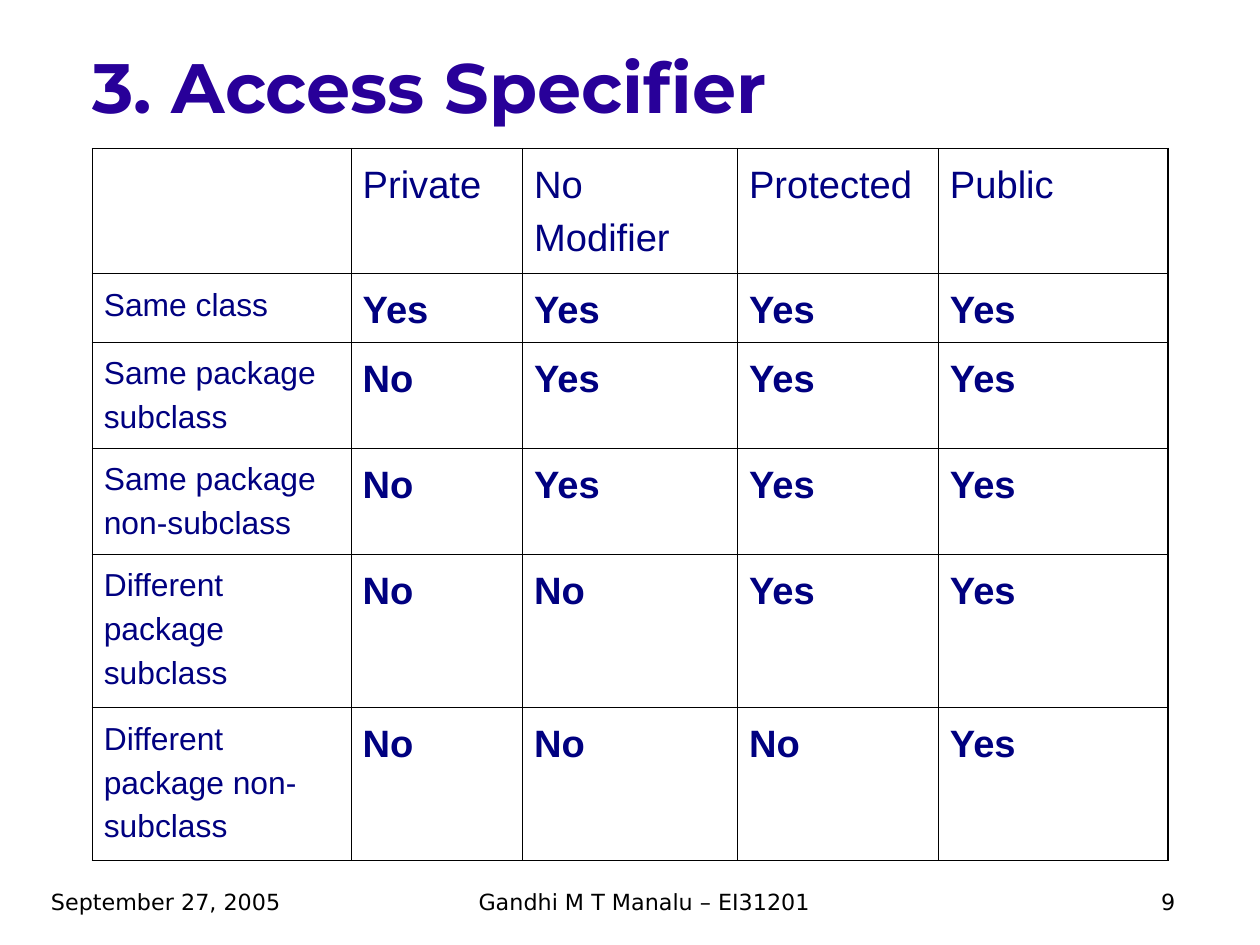
import dataclasses

import pptx
import pptx.dml.color
import pptx.enum.text
import pptx.oxml
import pptx.oxml.ns
import pptx.util

Pt = pptx.util.Pt
Align = pptx.enum.text.PP_ALIGN
Anchor = pptx.enum.text.MSO_ANCHOR
AutoSize = pptx.enum.text.MSO_AUTO_SIZE


@dataclasses.dataclass(frozen=True)
class Theme:
    title_color: str = "280099"
    table_color: str = "000080"
    footer_color: str = "000000"
    border_color: str = "000000"
    title_font: str = "Montserrat"
    table_font: str = "Arial"
    footer_font: str = "DejaVu Sans"
    title_size: float = 44
    answer_size: float = 24
    label_size: float = 20
    footer_size: float = 14
    outer_border: float = 1.08
    inner_border: float = 0.45
    line_spacing: float = 1.24


THEME = Theme()

COLUMN_WIDTHS = [163.1, 108, 135.36, 126.6, 144.5]
ROW_HEIGHTS = [78.48, 43.2, 66.8, 66.8, 96.6, 96.6]
ACCESS_ROWS = [
    ["", "Private", "No Modifier", "Protected", "Public"],
    ["Same class", "Yes", "Yes", "Yes", "Yes"],
    ["Same package subclass", "No", "Yes", "Yes", "Yes"],
    ["Same package non-subclass", "No", "Yes", "Yes", "Yes"],
    ["Different package subclass", "No", "No", "Yes", "Yes"],
    ["Different package non-subclass", "No", "No", "No", "Yes"],
]
FOOTERS = [
    ("Gandhi M T Manalu – EI31201", (282.7, 555.84, 246.24, 24.48), Align.CENTER),
    ("9", (708.9, 555.84, 54, 26.64), Align.CENTER),
    ("September 27, 2005", (25, 555.84, 162, 24.48), Align.LEFT),
]


def apply_format(target, values):
    for name, value in values.items():
        setattr(target, name, value)


def margins(horizontal, vertical):
    return {
        "margin_left": Pt(horizontal),
        "margin_right": Pt(horizontal),
        "margin_top": Pt(vertical),
        "margin_bottom": Pt(vertical),
    }


def write_text(text_frame, text, color, font_format, paragraph_format):
    paragraph = text_frame.paragraphs[0]
    apply_format(paragraph, paragraph_format)
    run = paragraph.add_run()
    run.text = text
    apply_format(run.font, font_format)
    run.font.color.rgb = pptx.dml.color.RGBColor.from_string(color)


def add_text_box(slide, box, frame_format):
    text_frame = slide.shapes.add_textbox(*map(Pt, box)).text_frame
    apply_format(text_frame, {"word_wrap": True, **frame_format})
    return text_frame


def add_title(slide, text):
    text_frame = add_text_box(
        slide,
        (58.32, -2.16, 677.52, 99.36),
        {"vertical_anchor": Anchor.MIDDLE, "auto_size": AutoSize.NONE, **margins(0, 0)},
    )
    font_format = {"name": THEME.title_font, "size": Pt(THEME.title_size), "bold": True}
    paragraph_format = {"alignment": Align.LEFT, "line_spacing": THEME.line_spacing}
    write_text(text_frame, text, THEME.title_color, font_format, paragraph_format)


def add_footer(slide, text, box, alignment):
    text_frame = add_text_box(
        slide, box, {"auto_size": AutoSize.SHAPE_TO_FIT_TEXT, **margins(7.2, 3.6)}
    )
    font_format = {"name": THEME.footer_font, "size": Pt(THEME.footer_size)}
    paragraph_format = {"alignment": alignment, "space_before": Pt(8.8)}
    write_text(text_frame, text, THEME.footer_color, font_format, paragraph_format)


def draw_borders(cell, row, column):
    on_edge = {
        "L": column == 0,
        "R": column == len(COLUMN_WIDTHS) - 1,
        "T": row == 0,
        "B": row == len(ROW_HEIGHTS) - 1,
    }
    properties = cell._tc.get_or_add_tcPr()
    for side, is_outer in on_edge.items():
        width = Pt(THEME.outer_border if is_outer else THEME.inner_border)
        properties.append(pptx.oxml.parse_xml(
            f'<a:ln{side} {pptx.oxml.ns.nsdecls("a")} w="{width}"><a:solidFill>'
            f'<a:srgbClr val="{THEME.border_color}"/></a:solidFill></a:ln{side}>'
        ))


def fill_cell(cell, text, row, column):
    draw_borders(cell, row, column)
    cell.fill.background()
    apply_format(cell, {"vertical_anchor": Anchor.TOP, **margins(7.2, 3.6)})
    if not text:
        return
    font_format = {
        "name": THEME.table_font,
        "size": Pt(THEME.label_size if column == 0 else THEME.answer_size),
        "bold": row > 0 and column > 0,
    }
    paragraph_format = {
        "alignment": Align.LEFT,
        "line_spacing": THEME.line_spacing,
        "space_after": Pt(14.1),
    }
    write_text(cell.text_frame, text, THEME.table_color, font_format, paragraph_format)


def add_access_table(slide):
    box = (58.2, 93.6, sum(COLUMN_WIDTHS), sum(ROW_HEIGHTS))
    table = slide.shapes.add_table(
        len(ROW_HEIGHTS), len(COLUMN_WIDTHS), *map(Pt, box)
    ).table
    apply_format(table, {"first_row": False, "horz_banding": False})
    for column, width in zip(table.columns, COLUMN_WIDTHS):
        column.width = Pt(width)
    for row, height in zip(table.rows, ROW_HEIGHTS):
        row.height = Pt(height)
    for row, texts in enumerate(ACCESS_ROWS):
        for column, text in enumerate(texts):
            fill_cell(table.cell(row, column), text, row, column)


def main():
    presentation = pptx.Presentation()
    apply_format(presentation, {"slide_width": Pt(793.7), "slide_height": Pt(595.28)})
    slide = presentation.slides.add_slide(presentation.slide_layouts[6])
    for text, box, alignment in FOOTERS:
        add_footer(slide, text, box, alignment)
    add_title(slide, "3. Access Specifier")
    add_access_table(slide)
    presentation.save("out.pptx")


if __name__ == "__main__":
    main()
